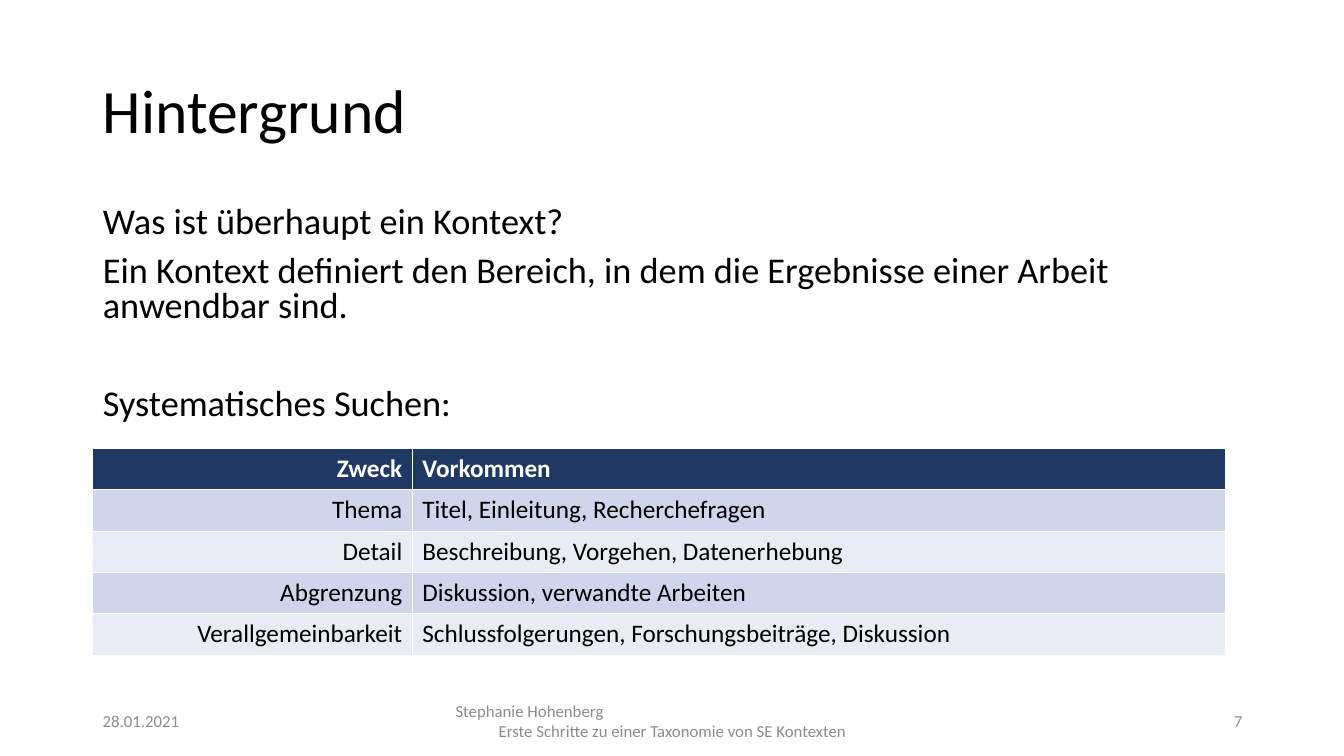
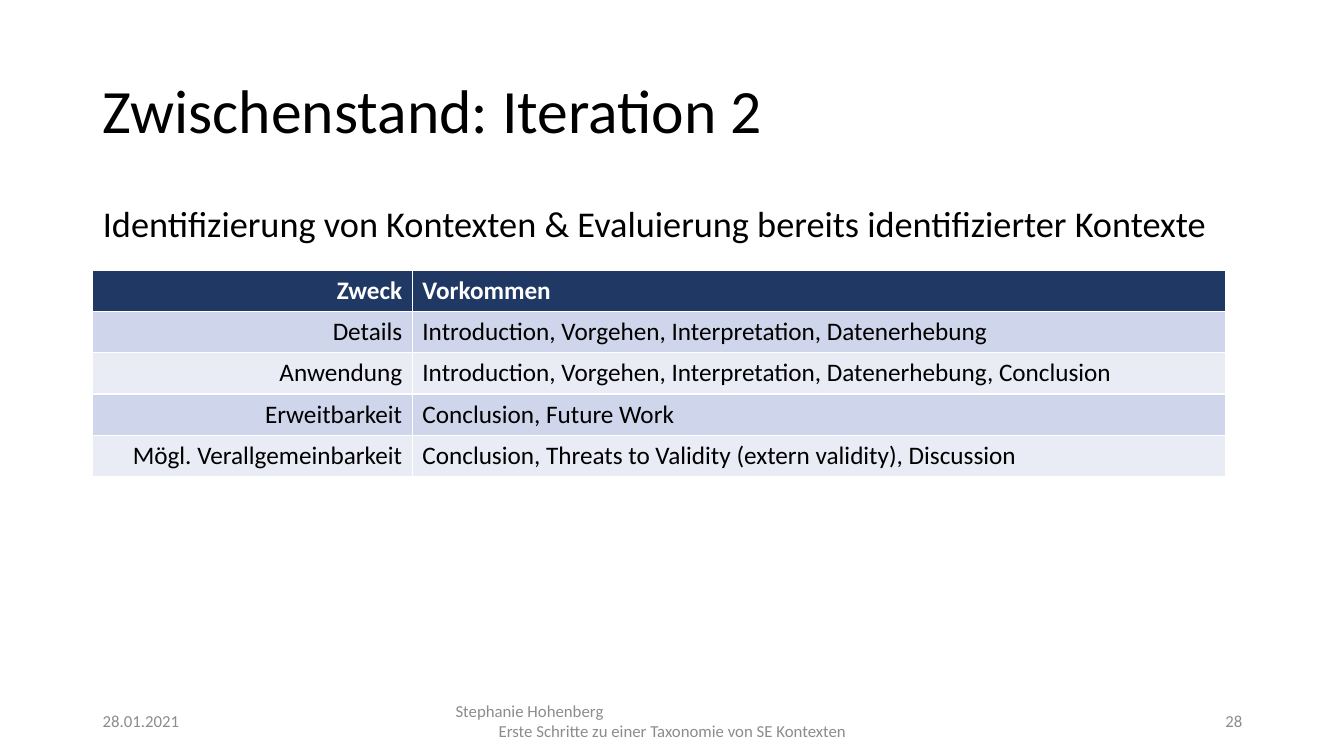
from dataclasses import dataclass

from lxml import etree
from pptx import Presentation
from pptx import util as u
from pptx.dml.color import RGBColor
from pptx.enum import text
from pptx.oxml.ns import qn


@dataclass(frozen=True)
class Theme:
    font: str = "Calibri"
    ink: str = "000000"
    muted: str = "8C8C8C"
    header_ink: str = "FFFFFF"
    header_fill: str = "203864"
    bands: tuple = ("CFD5EA", "E9EBF5")
    title_size: float = 44
    body_size: float = 25.9
    table_size: float = 18
    footer_size: float = 12


LEFT, RIGHT, CENTER = text.PP_ALIGN.LEFT, text.PP_ALIGN.RIGHT, text.PP_ALIGN.CENTER
MARGIN = 0.92
UNIT = 0.5
CONTENT_COLUMNS = 23
TABLE_COLUMNS = (6.34, 16.14)
TABLE_ROW = 0.82
DATE = "28.01.2021"
AUTHOR = "Stephanie Hohenberg"
TOPIC = "Erste Schritte zu einer Taxonomie von SE Kontexten"


class Deck:
    def __init__(self, theme):
        self.theme = theme
        self.presentation = Presentation()
        self.presentation.slide_width = u.Inches(13.33)
        self.presentation.slide_height = u.Inches(7.5)
        self.slide = None

    def box(self, column, row, columns, rows):
        return (u.Inches(MARGIN + column * UNIT), u.Inches(row * UNIT),
                u.Inches(columns * UNIT), u.Inches(rows * UNIT))

    def style(self, paragraph, size, color, align=LEFT, bold=False):
        paragraph.alignment = align
        font = paragraph.font
        font.name, font.size, font.bold = self.theme.font, u.Pt(size), bold
        font.color.rgb = RGBColor.from_string(color)

    def place(self, shape, row, rows):
        shape.left, shape.top, shape.width, shape.height = self.box(0, row, CONTENT_COLUMNS, rows)
        shape.text_frame.auto_size = text.MSO_AUTO_SIZE.NONE
        return shape.text_frame

    def new_slide(self, title, number):
        self.slide = self.presentation.slides.add_slide(self.presentation.slide_layouts[1])
        frame = self.place(self.slide.shapes.title, 0.8, 2.9)
        frame.text = title
        frame.vertical_anchor = text.MSO_ANCHOR.MIDDLE
        paragraph = frame.paragraphs[0]
        paragraph.line_spacing = 0.9
        self.style(paragraph, self.theme.title_size, self.theme.ink)
        self.footer(0, 6, [(DATE, LEFT)])
        self.footer(7, 9, [(AUTHOR, LEFT), (TOPIC, CENTER)])
        self.footer(17, 6, [(str(number), RIGHT)])

    def footer(self, column, columns, lines):
        frame = self.slide.shapes.add_textbox(*self.box(column, 13.9, columns, 0.8)).text_frame
        frame.word_wrap = True
        frame.vertical_anchor = text.MSO_ANCHOR.MIDDLE
        frame.text = "\n".join(line for line, _ in lines)
        for paragraph, (_, align) in zip(frame.paragraphs, lines):
            self.style(paragraph, self.theme.footer_size, self.theme.muted, align)

    def body(self, rows, line_spacing, lines):
        frame = self.place(self.slide.placeholders[1], 4, rows)
        frame.text = "\n".join(line for line, _ in lines)
        for paragraph, (_, space_before) in zip(frame.paragraphs, lines):
            self.style(paragraph, self.theme.body_size, self.theme.ink)
            paragraph.line_spacing = line_spacing
            paragraph.space_before = u.Pt(space_before)
            properties = paragraph._p.get_or_add_pPr()
            properties.set("marL", "0")
            properties.set("indent", "0")
            bullet = etree.Element(qn("a:buNone"))
            properties.find(qn("a:spcBef")).addnext(bullet)

    def table(self, row, records):
        records = [("Zweck", "Vorkommen"), *records]
        area = self.box(0, row, sum(TABLE_COLUMNS), TABLE_ROW * len(records))
        table = self.slide.shapes.add_table(len(records), len(TABLE_COLUMNS), *area).table
        for column, width in zip(table.columns, TABLE_COLUMNS):
            column.width = u.Inches(width * UNIT)
        for index, record in enumerate(records):
            header = index == 0
            fill = self.theme.header_fill if header else self.theme.bands[(index - 1) % 2]
            color = self.theme.header_ink if header else self.theme.ink
            for cell, value, align in zip(table.rows[index].cells, record, (RIGHT, LEFT)):
                cell.text = value
                cell.fill.solid()
                cell.fill.fore_color.rgb = RGBColor.from_string(fill)
                self.style(cell.text_frame.paragraphs[0], self.theme.table_size,
                           color, align, header)


def main():
    deck = Deck(Theme())

    deck.new_slide("Hintergrund", 7)
    deck.body(4.6, 0.8, [
        ("Was ist überhaupt ein Kontext?", 10),
        ("Ein Kontext definiert den Bereich, in dem die Ergebnisse einer Arbeit anwendbar sind.", 10),
        ("Systematisches Suchen:", 45),
    ])
    deck.table(8.9, [
        ("Thema", "Titel, Einleitung, Recherchefragen"),
        ("Detail", "Beschreibung, Vorgehen, Datenerhebung"),
        ("Abgrenzung", "Diskussion, verwandte Arbeiten"),
        ("Verallgemeinbarkeit", "Schlussfolgerungen, Forschungsbeiträge, Diskussion"),
    ])

    deck.new_slide("Zwischenstand: Iteration 2", 28)
    deck.body(1.36, 0.9, [
        ("Identifizierung von Kontexten & Evaluierung bereits identifizierter Kontexte", 10),
    ])
    deck.table(5.36, [
        ("Details", "Introduction, Vorgehen, Interpretation, Datenerhebung"),
        ("Anwendung", "Introduction, Vorgehen, Interpretation, Datenerhebung, Conclusion"),
        ("Erweitbarkeit", "Conclusion, Future Work"),
        ("Mögl. Verallgemeinbarkeit", "Conclusion, Threats to Validity (extern validity), Discussion"),
    ])

    deck.presentation.save("out.pptx")


if __name__ == "__main__":
    main()
